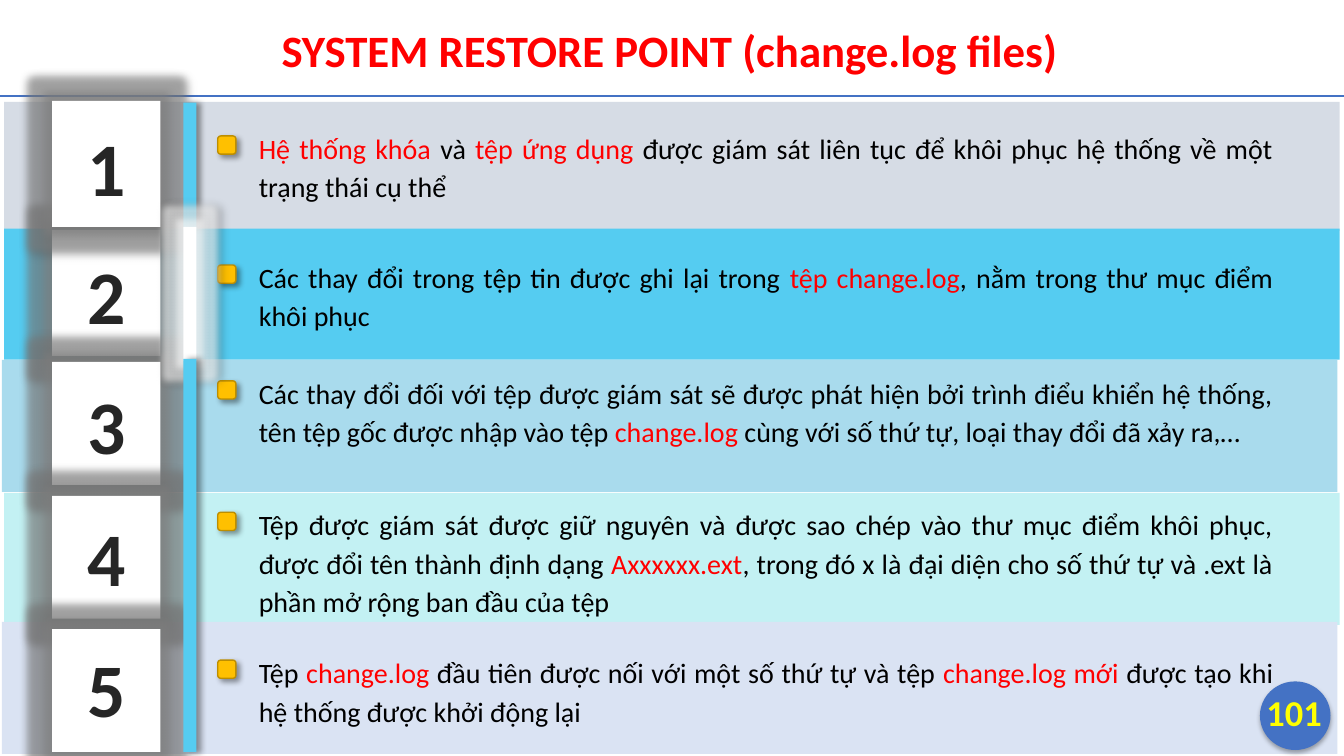
from dataclasses import dataclass

from lxml import etree
from pptx import Presentation
from pptx import util as u
from pptx.dml.color import RGBColor
from pptx.enum import shapes, text
from pptx.oxml.ns import qn


@dataclass(frozen=True)
class Theme:
    font: str = "Calibri"
    title_size: int = 32
    body_size: int = 20
    number_size: int = 54
    page_size: int = 26
    red: str = "FF0000"
    black: str = "000000"
    number: str = "262626"
    white: str = "FFFFFF"
    blue: str = "4472C4"
    sky: str = "55CCF1"
    amber: str = "FFC000"
    amber_line: str = "BD8E00"
    glow: str = "808080"
    page: str = "FFFF00"


THEME = Theme()
CARD_SHADOW = (30, 4.5, 2.6, 53)
BAR_SHADOW = (40, 4, 3, 0)
BULLET_SHADOW = (40, 4, 3, 45)
PAGE_SHADOW = (32, 3.5, 2.2, 90)
CARD_GLOW = (THEME.glow, 60, 12)
BAR_GLOW = (THEME.white, 60, 10)

BANDS = [
    (2.9, 72.7, 92.2, "D6DCE5"),
    (2.9, 163.4, 93.6, THEME.sky),
    (1.4, 257, 94.3, "A9DBED"),
    (2.9, 352.1, 94.3, "C3F1F3"),
    (1.4, 444.2, 94.3, "DAE3F3"),
]
STATEMENTS = [
    (87.1, 62.6, "*Hệ thống khóa *và *tệp ứng dụng* được giám sát liên tục để khôi phục "
     "hệ thống về một trạng thái cụ thể"),
    (179.3, 62.6, "Các thay đổi trong tệp tin được ghi lại trong *tệp change.log*, "
     "nằm trong thư mục điểm khôi phục"),
    (262, 90, "Các thay đổi đối với tệp được giám sát sẽ được phát hiện bởi trình điểu "
     "khiển hệ thống, tên tệp gốc được nhập vào tệp *change.log* cùng với số thứ tự, "
     "loại thay đổi đã xảy ra,…"),
    (355.9, 90, "Tệp được giám sát được giữ nguyên và được sao chép vào thư mục điểm "
     "khôi phục, được đổi tên thành định dạng *Axxxxxx.ext*, trong đó x là đại diện "
     "cho số thứ tự và .ext là phần mở rộng ban đầu của tệp"),
    (461.5, 62.6, "Tệp *change.log* đầu tiên được nối với một số thứ tự và tệp "
     "*change.log mới *được tạo khi hệ thống được khởi động lại"),
]
CARDS = [(164.2, 90), (258.5, 87.8), (354.2, 87.8), (449.3, 87.8), (72, 90)]
BARS = [
    (73.4, 90.7, THEME.sky, None),
    (162, 95.8, THEME.white, BAR_GLOW),
    (256.3, 280.8, THEME.sky, None),
]
NUMBER_TOPS = [82.8, 174.2, 267.1, 361.4, 455]


def color(value):
    return RGBColor.from_string(value)


def add_effect(effects, tag, value, opacity, **attributes):
    effect = etree.SubElement(effects, qn(f"a:{tag}"),
                              {key: str(int(item)) for key, item in attributes.items()})
    tint = etree.SubElement(effect, qn("a:srgbClr"), val=value)
    etree.SubElement(tint, qn("a:alpha"), val=str(opacity * 1000))


def add_figure(slide, kind, box, fill, line=None, shadow=None, glow=None):
    shape = slide.shapes.add_shape(kind, *map(u.Pt, box))
    shape.fill.solid()
    shape.fill.fore_color.rgb = color(fill)
    if line:
        shape.line.color.rgb = color(line)
        shape.line.width = u.Pt(1)
    else:
        shape.line.fill.background()
    shape.shadow.inherit = False
    effects = shape._element.spPr.find(qn("a:effectLst"))
    if glow:
        value, opacity, radius = glow
        add_effect(effects, "glow", value, opacity, rad=u.Pt(radius))
    if shadow:
        opacity, blur, distance, angle = shadow
        add_effect(effects, "outerShdw", THEME.black, opacity, blurRad=u.Pt(blur),
                   dist=u.Pt(distance), dir=angle * 60000)
    return shape


def add_text(slide, box, content, size, value, bold=False, wrap=True,
             align=text.PP_ALIGN.CENTER):
    frame = slide.shapes.add_textbox(*map(u.Pt, box)).text_frame
    frame.word_wrap = wrap
    paragraph = frame.paragraphs[0]
    paragraph.alignment = align
    font = paragraph.font
    font.name, font.size, font.bold = THEME.font, u.Pt(size), bold
    font.color.rgb = color(value)
    for index, part in enumerate(content.split("*")):
        if part:
            run = paragraph.add_run()
            run.text = part
            if index % 2:
                run.font.color.rgb = color(THEME.red)
    return frame


def add_rule(slide, y):
    rule = slide.shapes.add_connector(shapes.MSO_CONNECTOR.STRAIGHT,
                                      0, u.Pt(y), u.Pt(960), u.Pt(y))
    rule.line.color.rgb = color(THEME.blue)
    rule.line.width = u.Pt(1.5)
    etree.SubElement(rule._element.spPr, qn("a:effectLst"))


def add_statement(slide, top, height, content):
    add_figure(slide, shapes.MSO_SHAPE.FLOWCHART_ALTERNATE_PROCESS,
               (155.5, top + 10, 13, 13), THEME.amber, THEME.amber_line, BULLET_SHADOW)
    frame = add_text(slide, (177.8, top, 738.7, height), content, THEME.body_size,
                     THEME.black, align=text.PP_ALIGN.JUSTIFY)
    frame.paragraphs[0].line_spacing = 1.14


def add_page_number(slide, number):
    add_figure(slide, shapes.MSO_SHAPE.OVAL, (900, 486.7, 50.4, 49), THEME.blue,
               shadow=PAGE_SHADOW)
    frame = add_text(slide, (893.5, 483.8, 61.9, 49), number, THEME.page_size,
                     THEME.page, bold=True)
    frame.vertical_anchor = text.MSO_ANCHOR.MIDDLE
    frame.margin_left = frame.margin_right = frame.margin_top = frame.margin_bottom = 0


def main():
    presentation = Presentation()
    presentation.slide_width, presentation.slide_height = u.Pt(960), u.Pt(540)
    slide = presentation.slides.add_slide(presentation.slide_layouts[6])
    rectangle = shapes.MSO_SHAPE.RECTANGLE

    add_text(slide, (0, 13, 956.9, 46), "SYSTEM RESTORE POINT (change.log files)",
             THEME.title_size, THEME.red, bold=True)
    add_rule(slide, 68.4)
    for left, top, height, fill in BANDS:
        add_figure(slide, rectangle, (left, top, 954, height), fill)
    for statement in STATEMENTS:
        add_statement(slide, *statement)
    for top, height in CARDS:
        add_figure(slide, rectangle, (37.2, top, 77.5, height), THEME.white,
                   shadow=CARD_SHADOW, glow=CARD_GLOW)
    for top, height, fill, glow in BARS:
        add_figure(slide, rectangle, (131, top, 9.4, height), fill,
                   shadow=BAR_SHADOW, glow=glow)
    for number, top in enumerate(NUMBER_TOPS, 1):
        add_text(slide, (54.7, top, 42.5, 72.7), str(number), THEME.number_size,
                 THEME.number, bold=True, wrap=False)
    add_page_number(slide, "101")
    presentation.save("out.pptx")


if __name__ == "__main__":
    main()
